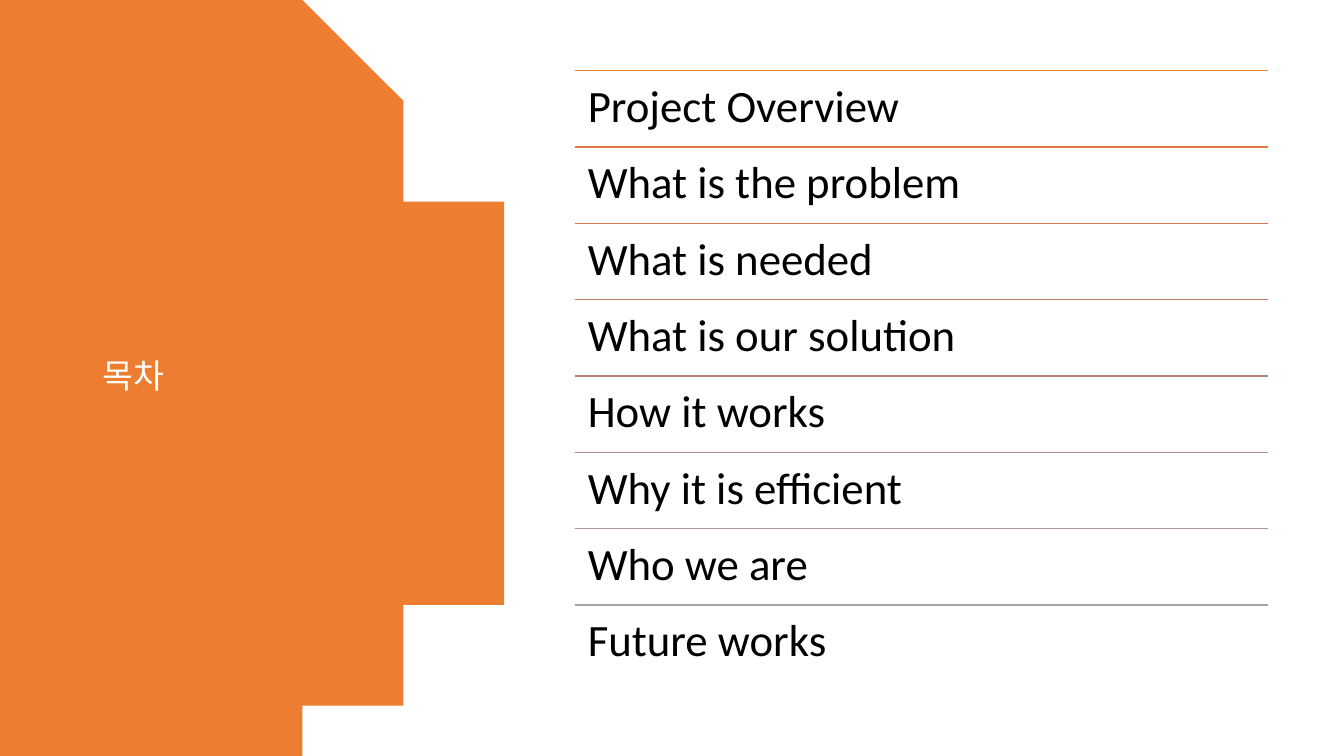
import math

import pptx
import pptx.dml.color
import pptx.enum.shapes
import pptx.enum.text
import pptx.oxml
import pptx.util

Inches = pptx.util.Inches
Pt = pptx.util.Pt
WIDTH, HEIGHT = 13.33, 7.5

AGENDA = [
    ("Project Overview", "ED7D31"),
    ("What is the problem", "E07A44"),
    ("What is needed", "D57B56"),
    ("What is our solution", "CA7E67"),
    ("How it works", "BF8478"),
    ("Why it is efficient", "B68D88"),
    ("Who we are", "AD9897"),
    ("Future works", "A5A5A5"),
]
LIST_LEFT, LIST_TOP, LIST_WIDTH = 5.7, 0.7, 6.88
ROW_HEIGHT = 6.06 / len(AGENDA)


def color(hex_value):
    return pptx.dml.color.RGBColor.from_string(hex_value)


def write(shape, text, size, hex_value, frame_format):
    """Fill a shape with one left-aligned Calibri paragraph."""
    frame = shape.text_frame
    frame.text = text
    frame.word_wrap = True
    frame.auto_size = pptx.enum.text.MSO_AUTO_SIZE.NONE
    for name, value in frame_format.items():
        setattr(frame, name, value)
    paragraph = frame.paragraphs[0]
    paragraph.alignment = pptx.enum.text.PP_ALIGN.LEFT
    paragraph.line_spacing = 0.9
    font = paragraph.runs[0].font
    font.name, font.size, font.color.rgb = "Calibri", Pt(size), color(hex_value)


presentation = pptx.Presentation()
presentation.slide_width = Inches(WIDTH)
presentation.slide_height = Inches(HEIGHT)
slide = presentation.slides.add_slide(presentation.slide_layouts.get_by_name("Title Only"))
slide.background.fill.solid()
slide.background.fill.fore_color.rgb = color("FFFFFF")

# Orange panel: a circle cut off by the left, top and bottom slide edges
RADIUS, CENTER_X, STEPS = 4.4, 0.53, 80
half_angle = math.asin(HEIGHT / 2 / RADIUS)
angles = [half_angle * (2 * step / STEPS - 1) for step in range(STEPS + 1)]
arc = [(CENTER_X + RADIUS * math.cos(angle), HEIGHT / 2 + RADIUS * math.sin(angle))
       for angle in angles]
builder = slide.shapes.build_freeform(0, 0, scale=Inches(1))
builder.add_line_segments(arc + [(0, HEIGHT)], close=True)
panel = builder.convert_to_shape()
panel.shadow.inherit = False
panel.fill.solid()
panel.fill.fore_color.rgb = color("ED7D31")
panel.line.fill.background()

title = slide.shapes.title
title.element.addprevious(panel.element)
title.left, title.top, title.width, title.height = map(Inches, (0.92, 0.7, 3.23, 6.09))
write(title, "목차", 24, "FFFFFF", {"vertical_anchor": pptx.enum.text.MSO_ANCHOR.MIDDLE})

row_format = {f"margin_{side}": Inches(0.13) for side in ("left", "top", "right", "bottom")}
row_format["vertical_anchor"] = pptx.enum.text.MSO_ANCHOR.TOP
for row, (topic, line_color) in enumerate(AGENDA):
    top = Inches(LIST_TOP + row * ROW_HEIGHT)
    rule = slide.shapes.add_connector(
        pptx.enum.shapes.MSO_CONNECTOR.STRAIGHT,
        Inches(LIST_LEFT), top, Inches(LIST_LEFT + LIST_WIDTH), top)
    rule.line.color.rgb = color(line_color)
    rule.line.width = Pt(1)
    rule.element.spPr.append(pptx.oxml.parse_xml(
        '<a:effectLst xmlns:a="http://schemas.openxmlformats.org/drawingml/2006/main"/>'))
    entry = slide.shapes.add_textbox(
        Inches(LIST_LEFT), top, Inches(LIST_WIDTH), Inches(ROW_HEIGHT))
    write(entry, topic, 32, "000000", row_format)

presentation.save("out.pptx")
